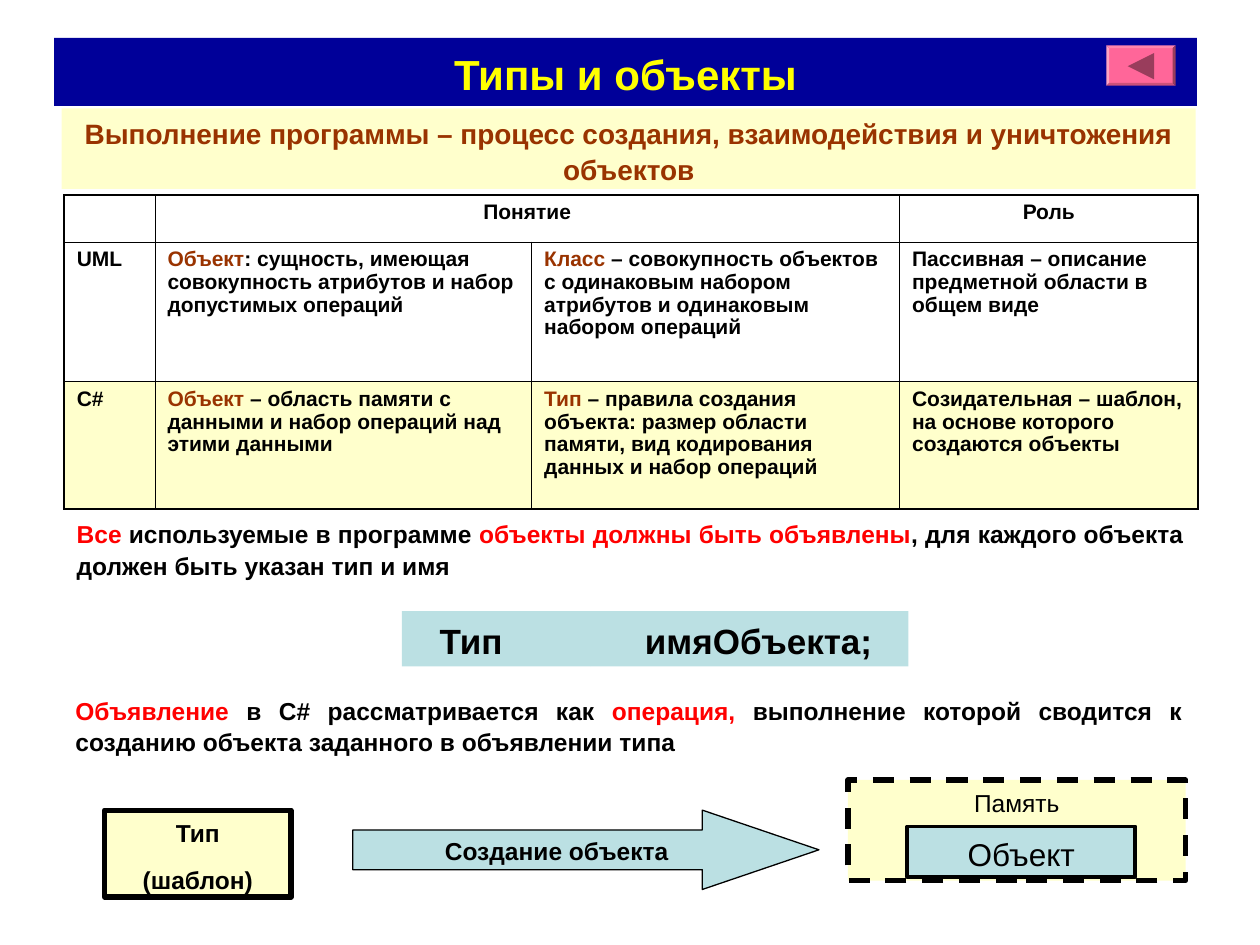
import pptx
import pptx.dml.color
import pptx.enum.dml
import pptx.enum.shapes
import pptx.enum.text
import pptx.oxml
import pptx.oxml.ns
import pptx.util

RGBColor = pptx.dml.color.RGBColor
Inches, Pt = pptx.util.Inches, pptx.util.Pt
SHAPE = pptx.enum.shapes.MSO_SHAPE
ALIGN = pptx.enum.text.PP_ALIGN
ANCHOR = pptx.enum.text.MSO_ANCHOR
DASH = pptx.enum.dml.MSO_LINE.DASH

BLACK = RGBColor(0x00, 0x00, 0x00)
NAVY = RGBColor(0x00, 0x00, 0x99)
YELLOW = RGBColor(0xFF, 0xFF, 0x00)
CREAM = RGBColor(0xFF, 0xFF, 0xCC)
BROWN = RGBColor(0x99, 0x33, 0x00)
RED = RGBColor(0xFF, 0x00, 0x00)
TEAL = RGBColor(0xBB, 0xE0, 0xE3)
PINK = RGBColor(0xFF, 0x66, 0x99)
PLUM = RGBColor(0x99, 0x3D, 0x5C)

FONT = "Arial"
LINE_SPACING, TABLE_SPACING = 1.06, 0.97
OUTER_BORDER, INNER_BORDER = 1.08, 0.45

# A paragraph is a list of (text, colour) runs.
TITLE = [("Типы и объекты", YELLOW)]
SUBTITLE = [("Выполнение программы – процесс создания, взаимодействия "
             "и уничтожения объектов", BROWN)]
DECLARED = [("Все", RED), (" используемые в программе ", BLACK),
            ("объекты должны быть объявлены", RED),
            (", для каждого объекта должен быть указан тип и имя", BLACK)]
OPERATION = [("Объявление ", RED), ("в C# рассматривается как ", BLACK),
             ("операция, ", RED),
             ("выполнение которой сводится к созданию объекта заданного "
              "в объявлении типа", BLACK)]

COLUMNS = [0.72, 2.99, 2.92, 2.37]
ROWS = [0.37, 1.11, 1.01]
CONCEPTS = [
    [[], [("Понятие", BLACK)], [], [("Роль", BLACK)]],
    [[("UML", BLACK)],
     [("Объект", BROWN),
      (": сущность, имеющая совокупность атрибутов и набор допустимых операций", BLACK)],
     [("Класс ", BROWN),
      ("– совокупность объектов с одинаковым набором атрибутов и одинаковым "
       "набором операций", BLACK)],
     [("Пассивная – описание предметной области в общем виде", BLACK)]],
    [[("C#", BLACK)],
     [("Объект", BROWN),
      (" – область памяти с данными и набор операций над этими данными", BLACK)],
     [("Тип ", BROWN),
      ("– правила создания объекта: размер области памяти, вид кодирования "
       "данных и набор операций", BLACK)],
     [("Созидательная – шаблон, на основе которого создаются объекты", BLACK)]],
]


def write(tf, paragraphs, size, bold=True, align=ALIGN.CENTER, spacing=LINE_SPACING, gap=0):
    for i, runs in enumerate(paragraphs):
        p = tf.paragraphs[0] if i == 0 else tf.add_paragraph()
        p.alignment = align
        p.line_spacing = spacing
        if i:
            p.space_before = Pt(gap)
        p.font.name, p.font.size, p.font.bold = FONT, Pt(size), bold
        for text, color in runs:
            r = p.add_run()
            r.text = text
            r.font.color.rgb = color


def add_block(slide, box, fill, line=0, kind=SHAPE.RECTANGLE):
    """Add a flat shape; a line width of 0 means no outline."""
    sp = slide.shapes.add_shape(kind, *map(Inches, box))
    sp.shadow.inherit = False
    sp.fill.solid()
    sp.fill.fore_color.rgb = fill
    if line:
        sp.line.color.rgb = BLACK
        sp.line.width = Pt(line)
    else:
        sp.line.fill.background()
    sp.text_frame.vertical_anchor = ANCHOR.TOP
    return sp


def add_text(slide, box, runs):
    tf = slide.shapes.add_textbox(*map(Inches, box)).text_frame
    tf.word_wrap = True
    write(tf, [runs], 14, align=ALIGN.JUSTIFY)


def set_borders(cell, widths):
    tc_pr = cell._tc.get_or_add_tcPr()
    for side, width in zip("LRTB", widths):
        tc_pr.append(pptx.oxml.parse_xml(
            f'<a:ln{side} {pptx.oxml.ns.nsdecls("a")} w="{Pt(width)}">'
            f'<a:solidFill><a:srgbClr val="{BLACK}"/></a:solidFill></a:ln{side}>'))


def add_concepts(slide, left, top):
    frame = slide.shapes.add_table(len(ROWS), len(COLUMNS), Inches(left), Inches(top),
                                   Inches(sum(COLUMNS)), Inches(sum(ROWS)))
    table = frame.table
    table.first_row = table.horz_banding = False
    for column, width in zip(table.columns, COLUMNS):
        column.width = Inches(width)
    for row, height in zip(table.rows, ROWS):
        row.height = Inches(height)
    last_row, last_col = len(ROWS) - 1, len(COLUMNS) - 1
    for i, row in enumerate(CONCEPTS):
        for j, runs in enumerate(row):
            cell = table.cell(i, j)
            on_edge = (j == 0, j == last_col, i == 0, i == last_row)
            set_borders(cell, [OUTER_BORDER if edge else INNER_BORDER for edge in on_edge])
            if i == last_row:
                cell.fill.solid()
                cell.fill.fore_color.rgb = CREAM
            else:
                cell.fill.background()
            write(cell.text_frame, [runs], 12, spacing=TABLE_SPACING,
                  align=ALIGN.CENTER if i == 0 else ALIGN.LEFT)
    table.cell(0, 1).merge(table.cell(0, 2))


def add_declaration(slide):
    left, right = 3.19, 4.69
    sp = add_block(slide, (left, 4.85, right - left, 0.44), TEAL)
    sp.text_frame.margin_right = Inches(0.5)
    write(sp.text_frame, [[("Тип", BLACK)]], 20)
    sp = add_block(slide, (right, 4.85, 2.52, 0.44), TEAL)
    sp.text_frame.margin_left = Inches(0.24)
    write(sp.text_frame, [[("имяОбъекта;", BLACK)]], 20)


def add_creation(slide):
    sp = add_block(slide, (0.83, 6.43, 1.48, 0.69), CREAM, 3)
    write(sp.text_frame, [[("Тип", BLACK)], [("(шаблон)", BLACK)]], 14, gap=8.8)

    arrow = add_block(slide, (2.8, 6.43, 3.7, 0.63), TEAL, 0.75, SHAPE.RIGHT_ARROW)
    arrow.adjustments[0], arrow.adjustments[1] = 0.5, 1.47
    arrow.text_frame.vertical_anchor = ANCHOR.MIDDLE
    arrow.text_frame.word_wrap = False
    write(arrow.text_frame, [[("Создание объекта", BLACK)]], 14)

    memory = add_block(slide, (6.73, 6.19, 2.68, 0.8), CREAM, 3)
    memory.line.dash_style = DASH
    write(memory.text_frame, [[("Память", BLACK)]], 14, bold=False)
    sp = add_block(slide, (7.2, 6.56, 1.81, 0.4), TEAL, 2.25)
    write(sp.text_frame, [[("Объект", BLACK)]], 18, bold=False)


def add_back_button(slide):
    button = add_block(slide, (8.78, 0.36, 0.55, 0.32), PINK, kind=SHAPE.BEVEL)
    button.adjustments[0] = 0.07
    triangle = add_block(slide, (8.95, 0.42, 0.21, 0.21), PLUM, kind=SHAPE.ISOSCELES_TRIANGLE)
    triangle.rotation = 270


def main():
    prs = pptx.Presentation()
    prs.slide_width, prs.slide_height = Inches(10), Inches(7.5)
    slide = prs.slides.add_slide(prs.slide_layouts[5])

    title = slide.shapes.title
    title.left, title.top, title.width, title.height = map(Inches, (0.43, 0.3, 9.07, 0.54))
    title.fill.solid()
    title.fill.fore_color.rgb = NAVY
    title.text_frame.vertical_anchor = ANCHOR.MIDDLE
    write(title.text_frame, [TITLE], 24)

    add_concepts(slide, 0.51, 1.55)
    subtitle = add_block(slide, (0.49, 0.86, 9, 0.64), CREAM)
    write(subtitle.text_frame, [SUBTITLE], 16)
    add_text(slide, (0.51, 4.06, 8.98, 0.57), DECLARED)
    add_text(slide, (0.5, 5.46, 8.98, 0.57), OPERATION)
    add_creation(slide)
    add_back_button(slide)
    add_declaration(slide)
    prs.save("out.pptx")


if __name__ == "__main__":
    main()
